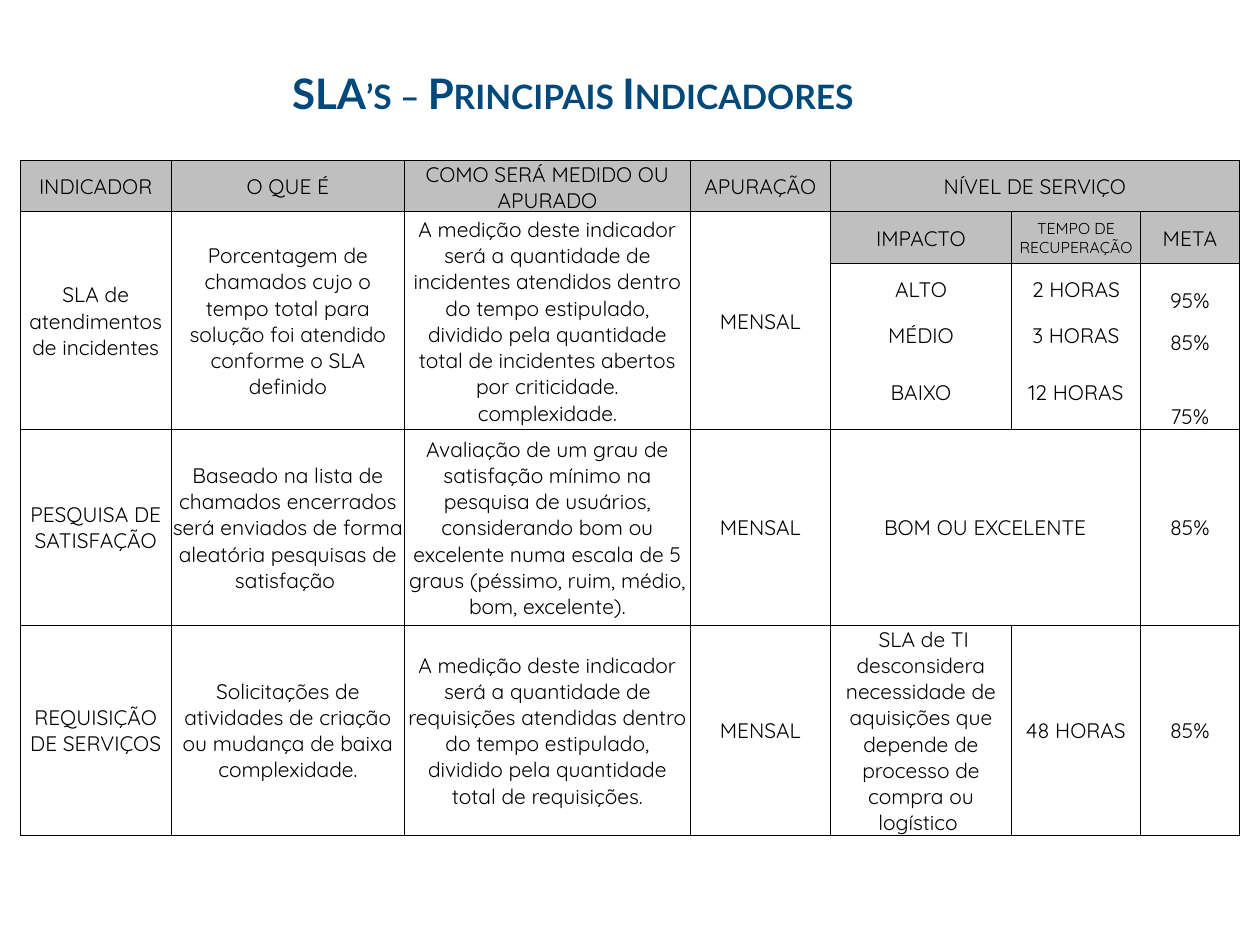
from lxml import etree
from pptx import Presentation
from pptx.dml import color
from pptx.enum import text
from pptx.oxml import ns
from pptx.util import Inches, Pt

GREY, BLACK, BLUE = "BFBFBF", "000000", "00497A"
COLUMN_WIDTHS = [1.2, 1.85, 2.27, 1.11, 0.81, 0.63, 1.02, 0.79]
ROW_HEIGHTS = [0.28, 0.41, 0.41, 0.4, 0.33, 0.59, 1.55, 1.67]

# Text by row, keyed by the column where the cell starts.
ROWS = [
    {},
    {0: "INDICADOR", 1: "O QUE É", 2: "COMO SERÁ MEDIDO OU APURADO", 3: "APURAÇÃO",
     4: "NÍVEL DE SERVIÇO"},
    {0: "SLA de atendimentos de incidentes",
     1: "Porcentagem de chamados cujo o tempo total para solução foi atendido "
        "conforme o SLA definido",
     2: "A medição deste indicador será a quantidade de incidentes atendidos dentro "
        "do tempo estipulado, dividido pela quantidade total de incidentes abertos "
        "por criticidade. complexidade.",
     3: "MENSAL", 4: "IMPACTO", 6: "TEMPO DE RECUPERAÇÃO", 7: "META"},
    {4: "ALTO", 6: "2 HORAS", 7: "95%"},
    {4: "MÉDIO", 6: "3 HORAS", 7: "85%"},
    {4: "BAIXO", 6: "12 HORAS", 7: "75%"},
    {0: "PESQUISA DE SATISFAÇÃO",
     1: "Baseado na lista de chamados encerrados será enviados de forma aleatória "
        "pesquisas de satisfação ",
     2: "Avaliação de um grau de satisfação mínimo na pesquisa de usuários, "
        "considerando bom ou excelente numa escala de 5 graus (péssimo, ruim, médio, "
        "bom, excelente).",
     3: "MENSAL", 4: "BOM OU EXCELENTE", 7: "85%"},
    {0: "REQUISIÇÃO DE SERVIÇOS",
     1: "Solicitações de atividades de criação ou mudança de baixa complexidade.",
     2: "A medição deste indicador será a quantidade de requisições atendidas dentro "
        "do tempo estipulado, dividido pela quantidade total de requisições.",
     3: "MENSAL",
     4: " SLA de TI desconsidera necessidade de aquisições que depende de processo de "
        "compra ou logístico ",
     6: "48 HORAS", 7: "85%"},
]

# (first row, first column, last row, last column)
MERGES = [(0, 5, 0, 6), (1, 4, 1, 7), (6, 4, 6, 6)]
MERGES += [(2, column, 5, column) for column in range(4)]
MERGES += [(row, 4, row, 5) for row in (2, 3, 4, 5, 7)]
IMPACT_SIDES = {3: "LRT", 4: "LR", 5: "LRB"}


def rgb(value):
    return color.RGBColor.from_string(value)


def set_font(font, name, size, colour):
    font.name, font.size = name, Pt(size)
    font.color.rgb = rgb(colour)


def set_borders(cell, sides):
    """Draw thin black lines on the given sides and clear the others."""
    properties = cell._tc.get_or_add_tcPr()
    for side in "LRTB":
        line = etree.SubElement(properties, ns.qn(f"a:ln{side}"), w=str(Pt(0.5)))
        if side in sides:
            fill = etree.SubElement(line, ns.qn("a:solidFill"))
            etree.SubElement(fill, ns.qn("a:srgbClr"), val=BLACK)
        else:
            etree.SubElement(line, ns.qn("a:noFill"))


def border_sides(row, column):
    if row == 0:
        return "B"
    if column >= 4:
        return IMPACT_SIDES.get(row, "LRTB")
    return "LRTB"


def style_cell(cell, row, column):
    is_header = row == 1 or (row == 2 and column >= 4)
    is_goal = column == 7 and row in IMPACT_SIDES
    cell.margin_left = cell.margin_right = cell.margin_top = Inches(0.01)
    cell.margin_bottom = 0
    cell.vertical_anchor = text.MSO_ANCHOR.BOTTOM if is_goal else text.MSO_ANCHOR.MIDDLE
    set_borders(cell, border_sides(row, column))
    if is_header:
        cell.fill.solid()
        cell.fill.fore_color.rgb = rgb(GREY)
    else:
        cell.fill.background()
    paragraph = cell.text_frame.paragraphs[0]
    paragraph.alignment = text.PP_ALIGN.CENTER
    content = ROWS[row].get(column)
    if content:
        paragraph.text = content
        set_font(paragraph.font, "Quicksand", 9 if (row, column) == (2, 6) else 12, BLACK)
    else:
        # Keeps empty cells from stretching their row.
        etree.SubElement(paragraph._p, ns.qn("a:endParaRPr"), sz="1200")


def add_title(slide, left, top, width, height):
    box = slide.shapes.add_textbox(Inches(left), Inches(top), Inches(width), Inches(height))
    box.text_frame.word_wrap = True
    paragraph = box.text_frame.paragraphs[0]
    run = paragraph.add_run()
    run.text = "SLA’s – Principais Indicadores"
    set_font(run.font, "Lato", 24, BLUE)
    run.font.bold = True
    run._r.get_or_add_rPr().set("cap", "small")


def add_indicator_table(slide, left, top, width, height):
    table = slide.shapes.add_table(
        len(ROW_HEIGHTS), len(COLUMN_WIDTHS),
        Inches(left), Inches(top), Inches(width), Inches(height)).table
    table.first_row = table.horz_banding = False
    for column, column_width in zip(table.columns, COLUMN_WIDTHS):
        column.width = Inches(column_width)
    for row, row_height in zip(table.rows, ROW_HEIGHTS):
        row.height = Inches(row_height)
    for row in range(len(ROW_HEIGHTS)):
        for column in range(len(COLUMN_WIDTHS)):
            style_cell(table.cell(row, column), row, column)
    for first_row, first_column, last_row, last_column in MERGES:
        table.cell(first_row, first_column).merge(table.cell(last_row, last_column))


def main():
    presentation = Presentation()
    presentation.slide_width, presentation.slide_height = Inches(10), Inches(7.5)
    slide = presentation.slides.add_slide(presentation.slide_layouts[6])
    add_title(slide, 2.22, 0.49, 6.07, 0.5)
    add_indicator_table(slide, 0.16, 0.99, 9.68, 5.65)
    presentation.save("out.pptx")


if __name__ == "__main__":
    main()
